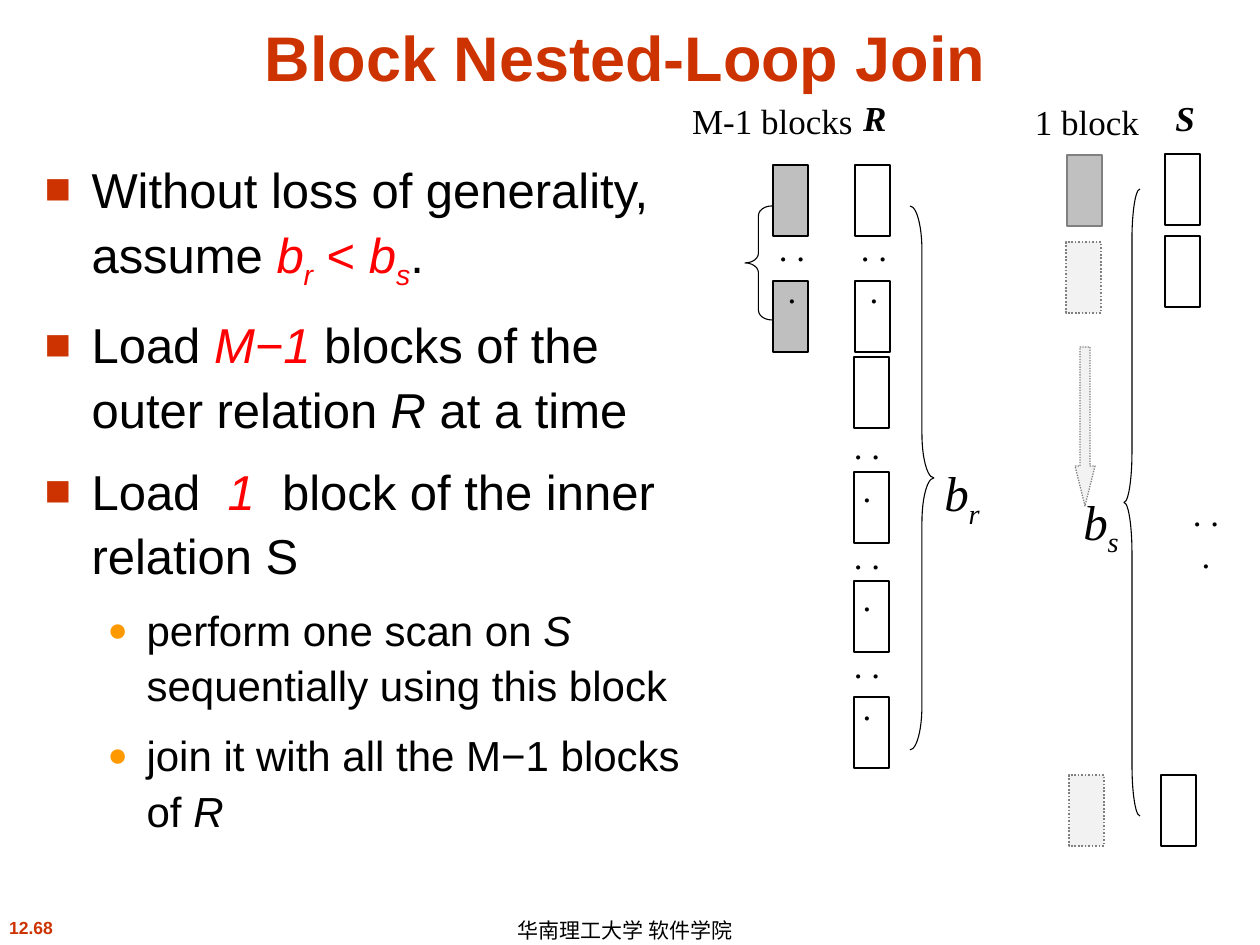
import lxml.etree
import pptx
import pptx.dml.color
import pptx.enum.dml
import pptx.enum.shapes
import pptx.enum.text
import pptx.oxml.ns
import pptx.util

PX = pptx.util.Inches(1) / 126
COLORS = {
    "rust": "CC3300", "orange": "FF9900", "red": "FF0000", "black": "000000",
    "white": "FFFFFF", "silver": "C0C0C0", "buffer": "BFBFBF",
    "pale": "F2F2F2", "gray": "808080",
}
SHAPE = pptx.enum.shapes.MSO_SHAPE
ALIGN = pptx.enum.text.PP_ALIGN
ANCHOR = pptx.enum.text.MSO_ANCHOR
DOTTED = pptx.enum.dml.MSO_LINE.ROUND_DOT


def place(shape, left, top, width, height):
    bounds = {"left": left, "top": top, "width": width, "height": height}
    for name, value in bounds.items():
        setattr(shape, name, int(value * PX))


def add_spans(para, spans, size, font, color="black", bold=False):
    for text, *marks in spans:
        span = para.add_run()
        span.text = text
        values = {"name": font, "size": pptx.util.Pt(size), "bold": bold, "italic": "italic" in marks}
        for name, value in values.items():
            setattr(span.font, name, value)
        shade = COLORS["red" if "red" in marks else color]
        span.font.color.rgb = pptx.dml.color.RGBColor.from_string(shade)
        if "sub" in marks:
            span.font._element.set("baseline", "-25000")
        if "wide" in marks:
            span.font._element.set("spc", "780")


deck = pptx.Presentation()
deck.slide_width = pptx.util.Inches(10)
deck.slide_height = pptx.util.Inches(7.5)
page = deck.slides.add_slide(deck.slide_layouts[1])

title = page.shapes.title
place(title, 32, 16, 1187, 84)
title.text_frame.vertical_anchor = ANCHOR.BOTTOM
title.text_frame.auto_size = pptx.enum.text.MSO_AUTO_SIZE.NONE
title.text_frame.paragraphs[0].alignment = ALIGN.CENTER
add_spans(title.text_frame.paragraphs[0], [("Block Nested-Loop Join",)], 36, "Arial", "rust", True)

body = page.placeholders[1]
place(body, 32, 147, 664, 724)
body.text_frame.vertical_anchor = ANCHOR.TOP
body.text_frame.auto_size = pptx.enum.text.MSO_AUTO_SIZE.NONE
levels = [
    {"size": 28, "indent": 47, "hang": 47, "bullet": "■", "color": "rust", "percent": 90},
    {"size": 24, "indent": 102, "hang": 39, "bullet": "●", "color": "orange", "percent": 80},
]
points = [
    (0, [("Without loss of generality, assume ",), ("b", "red", "italic"), ("r", "red", "italic", "sub"),
         (" < ", "red"), ("b", "red", "italic"), ("s", "red", "italic", "sub"), (".",)]),
    (0, [("Load ",), ("M−1", "red", "italic"), (" blocks of the outer relation ",),
         ("R ", "italic"), ("at a time",)]),
    (0, [("Load",), (" ", "wide"), ("1", "red", "italic"), (" ", "wide"),
         ("block of the inner relation S",)]),
    (1, [("perform one scan on ",), ("S ", "italic"), ("sequentially using this block",)]),
    (1, [("join it with all the M−1 blocks of ",), ("R", "italic")]),
]
for index, (level, spans) in enumerate(points):
    style = levels[level]
    para = body.text_frame.paragraphs[0] if index == 0 else body.text_frame.add_paragraph()
    para.level = level
    properties = para._p.get_or_add_pPr()
    properties.set("marL", str(int(style["indent"] * PX)))
    properties.set("indent", str(int(-style["hang"] * PX)))
    bullet_color = lxml.etree.SubElement(properties, pptx.oxml.ns.qn("a:buClr"))
    lxml.etree.SubElement(bullet_color, pptx.oxml.ns.qn("a:srgbClr"), val=COLORS[style["color"]])
    lxml.etree.SubElement(properties, pptx.oxml.ns.qn("a:buSzPct"), val=str(style["percent"] * 1000))
    lxml.etree.SubElement(properties, pptx.oxml.ns.qn("a:buChar"), char=style["bullet"])
    para.line_spacing = 1.1
    para.space_before = pptx.util.Pt(0.35 * style["size"] if index else 0)
    add_spans(para, spans, style["size"], "Arial")

block_columns = [
    (855, [165, 281], "white", "black", None),
    (854, [357, 472, 581, 697], "white", "black", None),
    (1165, [154, 236], "white", "black", None),
    (1161, [775], "white", "black", None),
    (773, [165, 281], "buffer", "black", None),
    (1067, [155], "silver", "gray", None),
    (1066, [242], "pale", "gray", DOTTED),
    (1069, [775], "pale", "gray", DOTTED),
]
figures = [
    (SHAPE.RECTANGLE, (left, top, 35, 71), [], fill, line, 1, dash)
    for left, tops, fill, line, dash in block_columns
    for top in tops
]
figures += [
    (SHAPE.DOWN_ARROW, (1075, 347, 20, 159), [0.5, 2], "pale", "gray", 0.75, DOTTED),
    (SHAPE.LEFT_BRACE, (745, 206, 27, 114), [0.36, 0.5], None, "black", 0.63, None),
    (SHAPE.RIGHT_BRACE, (910, 206, 24, 544), [1.85, 0.5], None, "black", 0.63, None),
    (SHAPE.LEFT_BRACE, (1124, 189, 16, 627), [3.15, 0.5], None, "black", 0.63, None),
]
for kind, bounds, adjustments, fill, line, weight, dash in figures:
    figure = page.shapes.add_shape(kind, 0, 0, 0, 0)
    place(figure, *bounds)
    figure.shadow.inherit = False
    for index, value in enumerate(adjustments):
        figure.adjustments[index] = value
    if fill:
        figure.fill.solid()
        figure.fill.fore_color.rgb = pptx.dml.color.RGBColor.from_string(COLORS[fill])
    else:
        figure.fill.background()
    figure.line.color.rgb = pptx.dml.color.RGBColor.from_string(COLORS[line])
    figure.line.width = pptx.util.Pt(weight)
    if dash:
        figure.line.dash_style = dash

serif = {"size": 20, "font": "Times New Roman"}
heading = {**serif, "bold": True}
symbol = {**serif, "size": 28}
labels = [
    ((861, 96, 28, 43), [("R", "italic")], heading, False),
    ((1175, 96, 20, 43), [("S", "italic")], heading, False),
    ((692, 99, 161, 43), [("M-1 blocks",)], serif, False),
    ((1032, 100, 110, 43), [("1 block",)], serif, False),
    ((943, 463, 38, 59), [("b", "italic"), ("r", "italic", "sub")], symbol, False),
    ((1082, 491, 38, 59), [("b", "italic"), ("s", "italic", "sub")], symbol, False),
    ((0, 917, 62, 22), [("12.68",)], {"size": 10, "font": "Arial", "color": "rust", "bold": True}, False),
    ((506, 918, 238, 32), [("华南理工大学 软件学院",)], {"size": 12, "font": "Arial"}, False),
]
ellipses = [(771, 226), (853, 226), (846, 425), (846, 534), (846, 643), (1185, 491)]
labels += [((left, top, 42, 42), [(". . .",)], serif, True) for left, top in ellipses]
for bounds, spans, style, wrap in labels:
    box = page.shapes.add_textbox(0, 0, 0, 0)
    place(box, *bounds)
    frame = {"margin_left": 0, "margin_right": 0, "margin_top": 0, "margin_bottom": 0, "word_wrap": wrap}
    for name, value in frame.items():
        setattr(box.text_frame, name, value)
    para = box.text_frame.paragraphs[0]
    para.alignment = ALIGN.CENTER
    add_spans(para, spans, **style)

deck.save("out.pptx")
